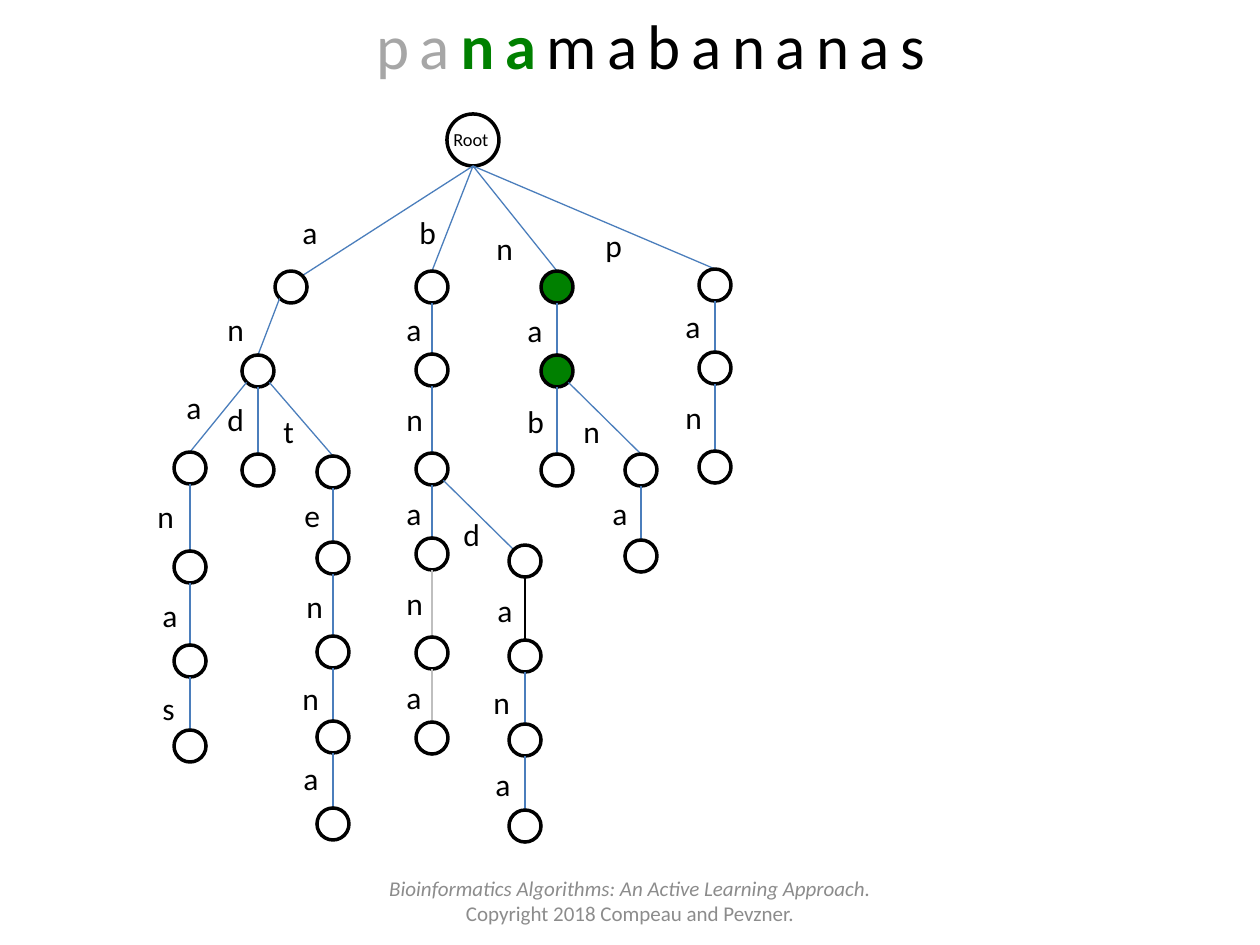
from lxml import etree
from pptx import Presentation
from pptx import util as u
from pptx.dml.color import RGBColor
from pptx.enum import shapes, text
from pptx.oxml import ns

PX = 914400 / 126
SLIDE_WIDTH, SLIDE_HEIGHT = 1260, 945
RADIUS, ROOT_RADIUS = 16, 26
DIAGONAL = 0.71
COLOURS = {
    "ink": "000000", "paper": "FFFFFF", "edge": "4B7EBC", "faint": "BFBFBF",
    "matched": "008000", "passed": "A6A6A6", "footer": "8C8C8C",
}
LABEL_WIDTHS = {"a": 40, "e": 41, "s": 38, "t": 37}

# Each trie node is keyed by the prefix it spells:
# node centre x, y and edge label left, top
ROOT_CENTRE = (473, 140)
TRIE = {
    "a": (291, 287, 290, 207),
    "an": (258, 371, 215, 304),
    "ana": (190, 468, 174, 382),
    "anan": (190, 567, 145, 491),
    "anana": (190, 661, 150, 590),
    "ananas": (190, 746, 150, 683),
    "and": (258, 470, 215, 394),
    "ant": (333, 472, 271, 406),
    "ante": (333, 558, 292, 490),
    "anten": (333, 652, 294, 581),
    "antenn": (333, 737, 290, 673),
    "antenna": (333, 824, 291, 753),
    "b": (432, 287, 407, 207),
    "ba": (432, 370, 394, 304),
    "ban": (432, 469, 394, 394),
    "bana": (432, 554, 394, 488),
    "banan": (432, 653, 394, 578),
    "banana": (432, 738, 394, 672),
    "band": (525, 561, 451, 509),
    "banda": (525, 656, 485, 585),
    "bandan": (525, 740, 481, 677),
    "bandana": (525, 826, 483, 759),
    "n": (557, 287, 484, 223),
    "na": (557, 371, 515, 305),
    "nab": (557, 470, 515, 396),
    "nan": (641, 470, 571, 406),
    "nana": (641, 556, 600, 488),
    "p": (715, 285, 593, 220),
    "pa": (715, 368, 673, 301),
    "pan": (715, 467, 673, 392),
}
MATCHED = {"n", "na"}
EDGE_COLOURS = {"banan": "faint", "banana": "faint", "banda": "ink"}
SIDE_ENTRIES = {"a": 1, "band": -1}  # edges that meet the child's upper side


def emu(*lengths):
    return [u.Emu(round(length * PX)) for length in lengths]


def rgb(name):
    return RGBColor.from_string(COLOURS[name])


def apply_format(target, **values):
    for name, value in values.items():
        setattr(target, name, value)


def add_run(paragraph, wording, size, colour, **values):
    run = paragraph.add_run()
    run.text = wording
    apply_format(run.font, name="Calibri", size=u.Pt(size), **values)
    run.font.color.rgb = rgb(colour)
    return run


def add_text(slide, box, wording, size, wrap):
    frame = slide.shapes.add_textbox(*emu(*box)).text_frame
    frame.word_wrap = wrap
    add_run(frame.paragraphs[0], wording, size, "ink")


def add_node(slide, centre, radius, fill):
    x, y = centre
    box = emu(x - radius, y - radius, 2 * radius, 2 * radius)
    node = slide.shapes.add_shape(shapes.MSO_SHAPE.OVAL, *box)
    node.shadow.inherit = False
    node.fill.solid()
    node.fill.fore_color.rgb = rgb(fill)
    node.line.color.rgb = rgb("ink")
    node.line.width = u.Pt(2)


def add_edge(slide, start, end, colour):
    edge = slide.shapes.add_connector(
        shapes.MSO_CONNECTOR.STRAIGHT, *emu(*start, *end))
    edge.line.color.rgb = rgb(colour)
    edge.line.width = u.Pt(0.75)
    etree.SubElement(edge._element.spPr, ns.qn("a:effectLst"))


def edge_ends(prefix):
    """Leave the parent's bottom, or its lower side when branching off."""
    x, y = TRIE[prefix][:2]
    parent = prefix[:-1]
    if parent:
        parent_x, parent_y = TRIE[parent][:2]
        direction = (x > parent_x) - (x < parent_x)
        drop = DIAGONAL if direction else 1
        start = (parent_x + direction * DIAGONAL * RADIUS,
                 parent_y + drop * RADIUS)
    else:
        start = (ROOT_CENTRE[0], ROOT_CENTRE[1] + ROOT_RADIUS)
    side = SIDE_ENTRIES.get(prefix, 0)
    rise = DIAGONAL if side else 1
    return start, (x + side * DIAGONAL * RADIUS, y - rise * RADIUS)


def add_trie(slide):
    add_node(slide, ROOT_CENTRE, ROOT_RADIUS, "paper")
    add_text(slide, (441, 122, 69, 35), "Root", 10.5, True)
    for prefix, (x, y, left, top) in TRIE.items():
        add_edge(slide, *edge_ends(prefix), EDGE_COLOURS.get(prefix, "edge"))
        add_node(slide, (x, y), RADIUS,
                 "matched" if prefix in MATCHED else "paper")
        letter = prefix[-1]
        width = LABEL_WIDTHS.get(letter, 43)
        add_text(slide, (left, top, width, 50), letter, 18, False)


def add_title(slide):
    title = slide.shapes.title
    left, top, width, height = emu(336, 0, 630, 89)
    apply_format(title, left=left, top=top, width=width, height=height)
    frame = title.text_frame
    apply_format(frame, word_wrap=True, auto_size=text.MSO_AUTO_SIZE.NONE,
                 vertical_anchor=text.MSO_ANCHOR.TOP)
    paragraph = frame.paragraphs[0]
    paragraph.alignment = text.PP_ALIGN.CENTER
    for wording, colour, bold in (("pa", "passed", False),
                                  ("na", "matched", True),
                                  ("mabananas", "ink", False)):
        run = add_run(paragraph, wording, 36, colour, bold=bold)
        run._r.get_or_add_rPr().set("spc", "600")


def add_footer(slide):
    frame = slide.shapes.add_textbox(*emu(357, 876, 546, 50)).text_frame
    apply_format(frame, word_wrap=True, vertical_anchor=text.MSO_ANCHOR.MIDDLE)
    first, second = frame.paragraphs[0], frame.add_paragraph()
    add_run(first, "Bioinformatics Algorithms: An Active Learning Approach.",
            12, "footer", italic=True)
    add_run(second, "Copyright 2018 Compeau and Pevzner.", 12, "footer")
    for paragraph in (first, second):
        paragraph.alignment = text.PP_ALIGN.CENTER


def main():
    presentation = Presentation()
    width, height = emu(SLIDE_WIDTH, SLIDE_HEIGHT)
    apply_format(presentation, slide_width=width, slide_height=height)
    title_only = presentation.slide_layouts[5]
    slide = presentation.slides.add_slide(title_only)
    add_trie(slide)
    add_title(slide)
    add_footer(slide)
    presentation.save("out.pptx")


if __name__ == "__main__":
    main()
